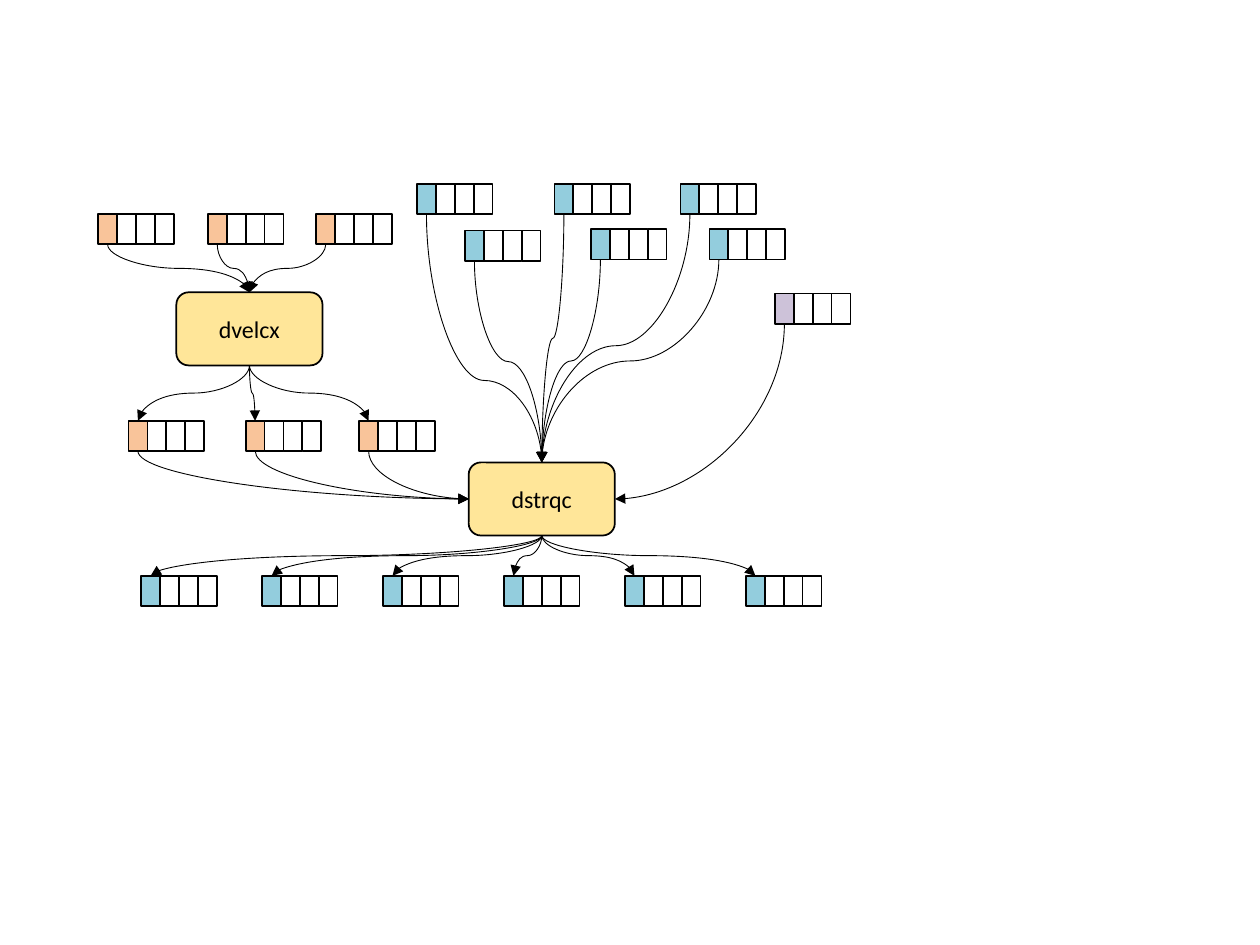
from pptx import Presentation
from pptx.dml.color import RGBColor
from pptx.enum.shapes import MSO_CONNECTOR as Conn, MSO_SHAPE as Kind
from pptx.enum.text import MSO_ANCHOR as Anchor, PP_ALIGN as Align
from pptx.oxml.ns import qn
from pptx.util import Inches, Pt
from lxml.etree import SubElement

COLORS = {"blue": "93CDDD", "orange": "F9C49A", "purple": "CDC2D9",
          "yellow": "FFE699", "black": "000000"}
TOP, LEFT, BOTTOM, RIGHT = range(4)
CELL_W, CELL_H, CELLS = 0.15, 0.24, 4

prs = Presentation()
prs.slide_width, prs.slide_height = Inches(10), Inches(7.5)
shapes = prs.slides.add_slide(prs.slide_layouts[6]).shapes
black = RGBColor.from_string(COLORS["black"])


def add_box(text, x, y, w, h, kind=Kind.RECTANGLE, fill=None, size=13.7, font="Calibri"):
    box = shapes.add_shape(kind, Inches(x), Inches(y), Inches(w), Inches(h))
    box.shadow.inherit = False
    box.line.color.rgb = black
    box.line.width = Pt(1)
    if fill:
        box.fill.solid()
        box.fill.fore_color.rgb = RGBColor.from_string(COLORS[fill])
    else:
        box.fill.background()
    if text:
        frame = box.text_frame
        frame.vertical_anchor = Anchor.MIDDLE
        para = frame.paragraphs[0]
        para.alignment = Align.CENTER
        run = para.add_run()
        run.text = text
        run.font.size = Pt(size)
        run.font.name = font
        run.font.color.rgb = black
    return box


def add_link(start, end, side, bend=0.5):
    """Curve down from the bottom of start to one side of end."""
    line = shapes.add_connector(Conn.CURVE, 0, 0, 0, 0)
    line.begin_connect(start, BOTTOM)
    line.end_connect(end, side)
    x1, y1, x2, y2 = line.begin_x, line.begin_y, line.end_x, line.end_y
    wide, high = abs(x2 - x1), y2 - y1
    # The curve leaves downwards, so its frame is a quarter turn about its centre
    line.left, line.top = (x1 + x2 - high) // 2, (y1 + y2 - wide) // 2
    line.width, line.height = high, wide
    props = line._element.spPr
    frame = props.find(qn("a:xfrm"))
    for key in ("flipH", "flipV", "rot"):
        frame.attrib.pop(key, None)
    if x2 > x1:
        frame.set("rot", "16200000")
        frame.set("flipH", "1")
    else:
        frame.set("rot", "5400000")
    geom = props.find(qn("a:prstGeom"))
    if side != TOP:
        geom.set("prst", "curvedConnector2")
    elif bend != 0.5:
        SubElement(geom.find(qn("a:avLst")), qn("a:gd"), name="adj1",
                   fmla=f"val {round(bend * 100000)}")
    line.line.color.rgb = black
    line.line.width = Pt(0.5)
    SubElement(props.find(qn("a:ln")), qn("a:tailEnd"), type="triangle")
    SubElement(props, qn("a:effectLst"))


# Four-cell records, by group: colour of the first cell and top left corners
groups = {
    "targets": ("blue", [(3.31, 1.46), (3.69, 1.83), (4.4, 1.46),
                         (4.69, 1.82), (5.4, 1.46), (5.63, 1.82)]),
    "inputs": ("orange", [(x, 1.7) for x in (0.78, 1.65, 2.51)]),
    "middle": ("orange", [(x, 3.34) for x in (1.02, 1.95, 2.85)]),
    "extra": ("purple", [(6.15, 2.33)]),
    "outputs": ("blue", [(1.12 + 0.96 * i, 4.57) for i in range(6)]),
}
heads = {}
for name, (color, spots) in groups.items():
    heads[name] = []
    for x, y in spots:
        cells = [add_box("", x + i * CELL_W, y, CELL_W, CELL_H, fill=None if i else color)
                 for i in range(CELLS)]
        heads[name].append(cells[0])

dvelcx = add_box("dvelcx", 1.4, 2.32, 1.16, 0.58, kind=Kind.ROUNDED_RECTANGLE, fill="yellow")
dstrqc = add_box("dstrqc", 3.72, 3.67, 1.16, 0.58, kind=Kind.ROUNDED_RECTANGLE, fill="yellow")

for head in heads["inputs"]:
    add_link(head, dvelcx, TOP)
for head in heads["middle"]:
    add_link(dvelcx, head, TOP)
    add_link(head, dstrqc, LEFT)
for head, bend in zip(heads["targets"], (0.67, 0.5, 0.5, 0.5, 0.53, 0.5)):
    add_link(head, dstrqc, TOP, bend)
for head in heads["extra"]:
    add_link(head, dstrqc, RIGHT)
for head in heads["outputs"]:
    add_link(dstrqc, head, TOP)

prs.save("out.pptx")
